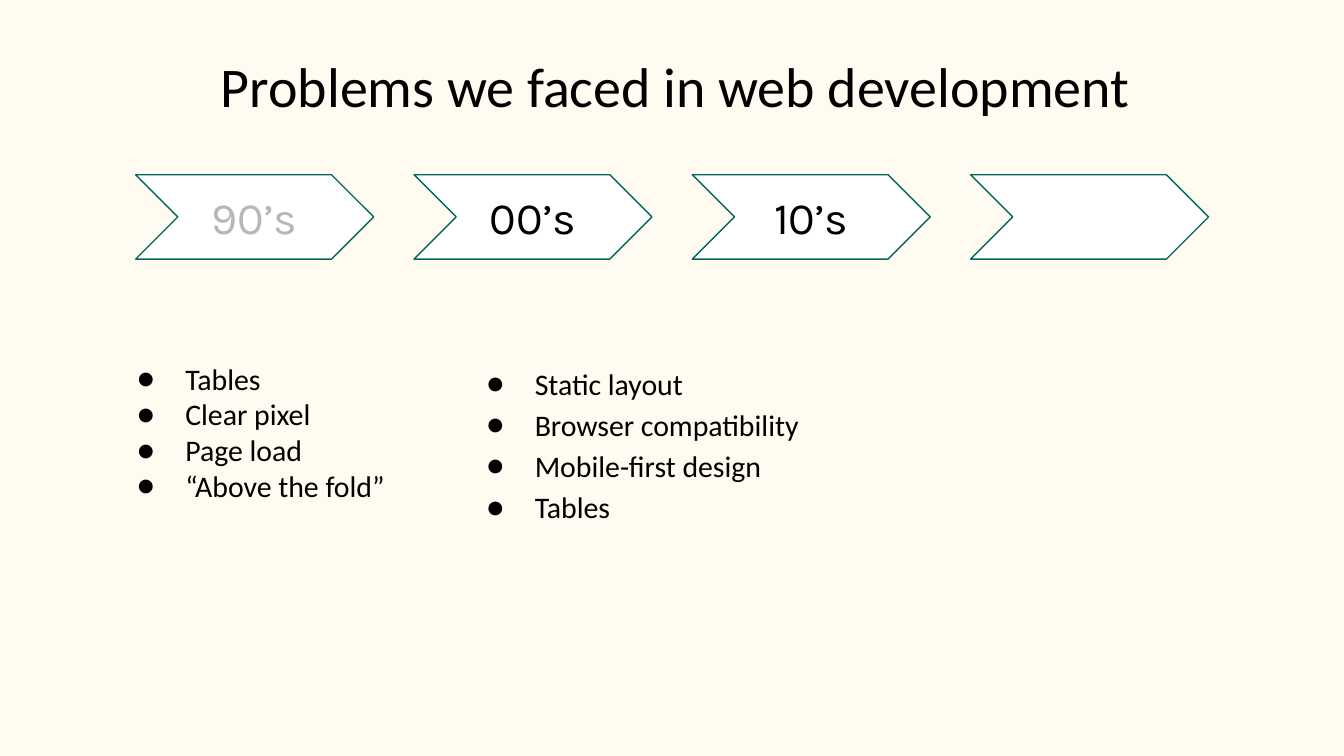
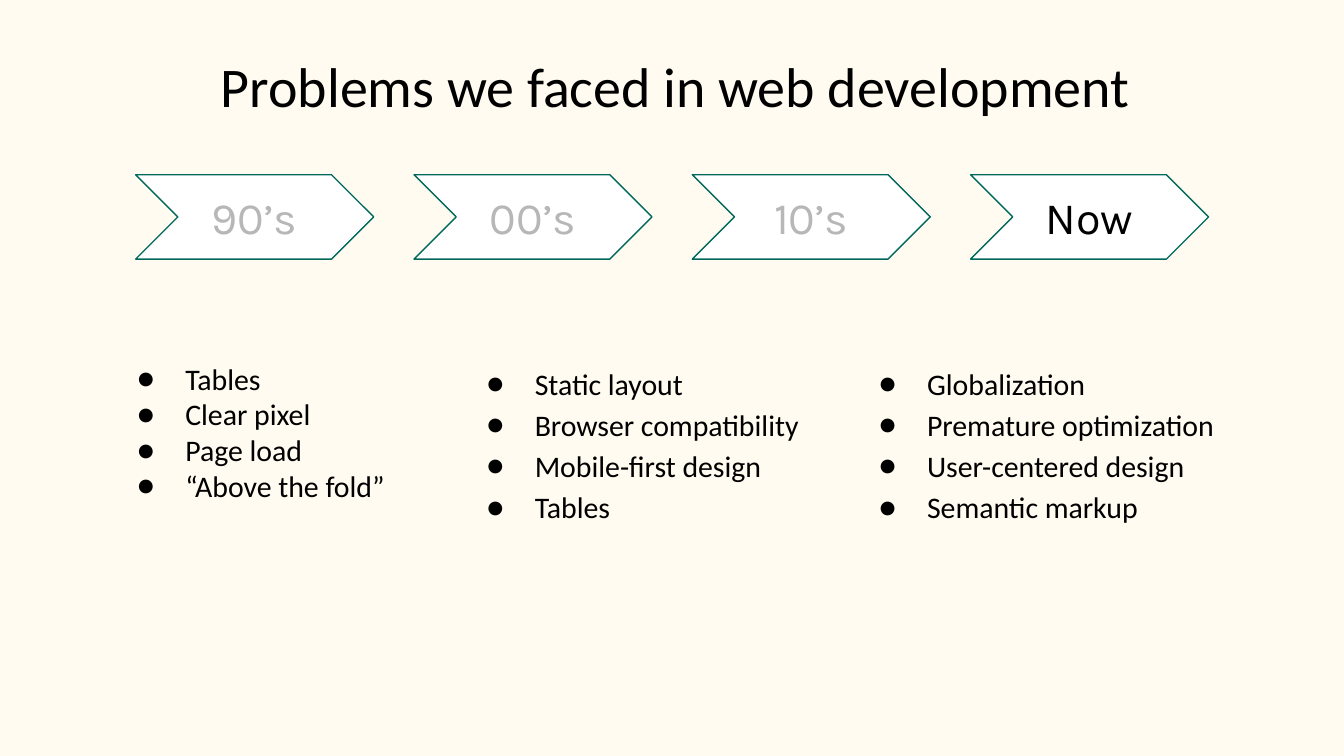
from lxml.etree import SubElement
from pptx import Presentation
from pptx.dml.color import RGBColor
from pptx.enum.shapes import MSO_SHAPE
from pptx.enum.text import MSO_ANCHOR, PP_ALIGN
from pptx.oxml.ns import qn
from pptx.util import Pt

COLORS = {
    "background": "FFFBF0",
    "chevron": "FFFFFF",
    "outline": "00695C",
    "text": "000000",
    "muted": "B7B7B7",
}
BODY_FONT = "Calibri"
ERA_FONT = "Karla"

TITLE = "Problems we faced in web development"
NINETIES = ["Tables", "Clear pixel", "Page load", "“Above the fold”"]
MIDDLE_YEARS = ["Static layout", "Browser compatibility", "Mobile-first design", "Tables"]
TODAY = ["Globalization", "Premature optimization", "User-centered design", "Semantic markup"]

ERA_LEFT, ERA_TOP, ERA_WIDTH, ERA_HEIGHT = 72.7, 93.6, 127.5, 45.2
ERA_PITCH = 149.1
LIST_TOP = 185.8


def color(name):
    return RGBColor.from_string(COLORS[name])


def add_bullet(paragraph):
    properties = paragraph._p.get_or_add_pPr()
    properties.set("marL", str(Pt(36)))
    properties.set("indent", str(Pt(-25.9)))
    bullet_color = SubElement(properties, qn("a:buClr"))
    SubElement(bullet_color, qn("a:srgbClr"), val=COLORS["text"])
    SubElement(properties, qn("a:buFont"), typeface=BODY_FONT)
    SubElement(properties, qn("a:buChar"), char="●")


def write_text(shape, lines, size=16, font=BODY_FONT, fill="text", align=PP_ALIGN.LEFT,
               anchor=MSO_ANCHOR.TOP, spacing=1.0, bullets=False):
    frame = shape.text_frame
    frame.word_wrap = True
    frame.vertical_anchor = anchor
    frame.margin_left = frame.margin_right = Pt(7.2)
    frame.margin_top = frame.margin_bottom = Pt(7.2)
    frame.text = "\n".join(lines)
    for paragraph in frame.paragraphs:
        paragraph.alignment = align
        paragraph.line_spacing = spacing
        if bullets:
            add_bullet(paragraph)
        for run in paragraph.runs:
            run.font.size = Pt(size)
            run.font.name = font
            run.font.color.rgb = color(fill)


class Deck:
    def __init__(self):
        self.presentation = Presentation()
        self.presentation.slide_width = Pt(720)
        self.presentation.slide_height = Pt(405)
        self.slide = None

    def add_slide(self):
        self.slide = self.presentation.slides.add_slide(self.presentation.slide_layouts[6])
        background = self.slide.background.fill
        background.solid()
        background.fore_color.rgb = color("background")

    def add_text(self, lines, left, top, width, height, **text_format):
        box = self.slide.shapes.add_textbox(Pt(left), Pt(top), Pt(width), Pt(height))
        write_text(box, lines, **text_format)

    def add_title(self):
        self.add_text([TITLE], 76.3, 20.2, 571, 52.6, size=30, align=PP_ALIGN.CENTER)

    def add_list(self, lines, left, width, height, spacing=1.15):
        self.add_text(lines, left, LIST_TOP, width, height, spacing=spacing, bullets=True)

    def add_era(self, index, label, fill):
        chevron = self.slide.shapes.add_shape(
            MSO_SHAPE.CHEVRON, Pt(ERA_LEFT + index * ERA_PITCH), Pt(ERA_TOP),
            Pt(ERA_WIDTH), Pt(ERA_HEIGHT))
        chevron.shadow.inherit = False
        chevron.fill.solid()
        chevron.fill.fore_color.rgb = color("chevron")
        chevron.line.color.rgb = color("outline")
        chevron.line.width = Pt(0.75)
        if label:
            write_text(chevron, [label], size=24, font=ERA_FONT, fill=fill,
                       align=PP_ALIGN.CENTER, anchor=MSO_ANCHOR.MIDDLE)

    def add_timeline_slide(self, eras, today=None):
        self.add_slide()
        if today:
            self.add_list(today, 453.6, 266.4, 103.7)
        self.add_list(NINETIES, 56.2, 170.6, 154.8, spacing=1.0)
        for index, (label, fill) in enumerate(eras):
            self.add_era(index, label, fill)
        self.add_title()
        self.add_list(MIDDLE_YEARS, 243.4, 210.2, 211.7)


def main():
    deck = Deck()
    deck.add_timeline_slide(
        [("90’s", "muted"), ("00’s", "text"), ("10’s", "text"), ("", "text")])
    deck.add_timeline_slide(
        [("90’s", "muted"), ("00’s", "muted"), ("10’s", "muted"), ("Now", "text")],
        today=TODAY)
    deck.presentation.save("out.pptx")


if __name__ == "__main__":
    main()
